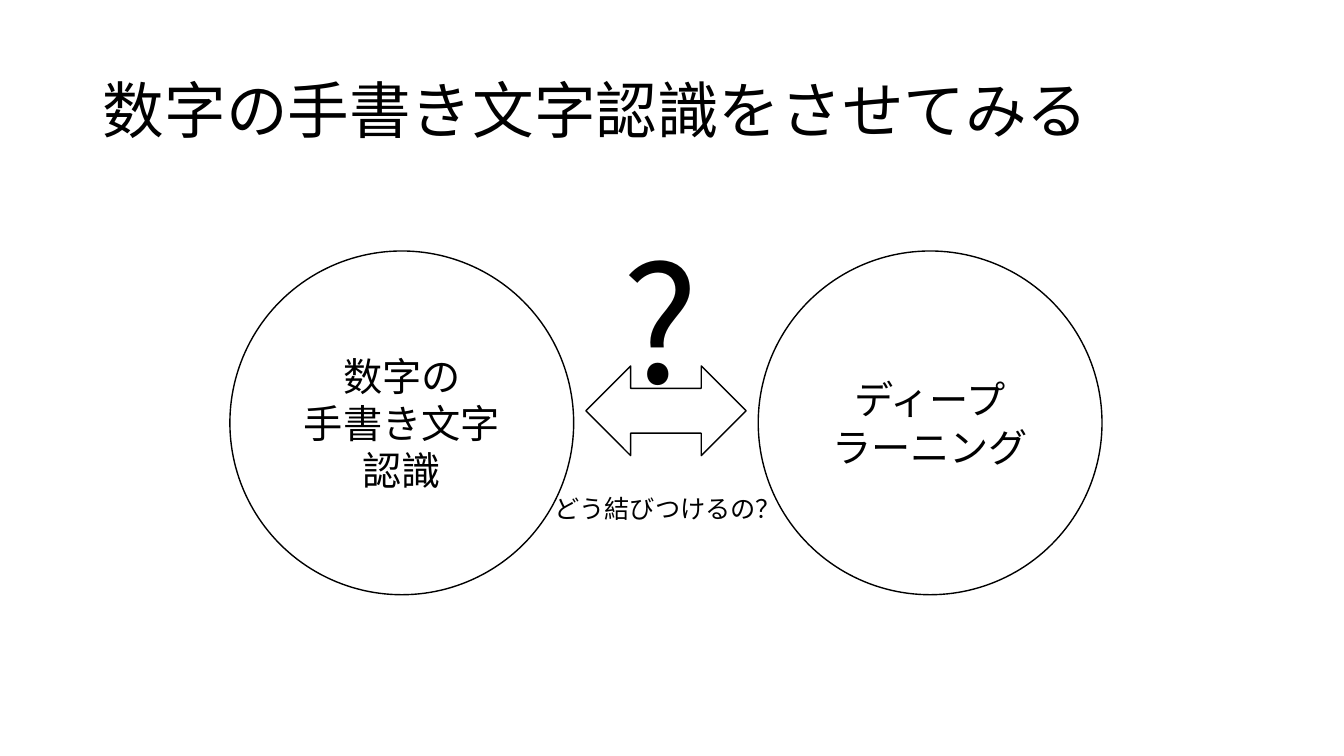
from lxml.etree import SubElement
from pptx import Presentation
from pptx.dml.color import RGBColor
from pptx.enum.shapes import MSO_SHAPE
from pptx.enum.text import MSO_ANCHOR, MSO_AUTO_SIZE, PP_ALIGN
from pptx.oxml.ns import qn
from pptx.util import Inches, Pt

FONT = "Noto Sans CJK JP"
BLACK, WHITE = "000000", "FFFFFF"
TITLE = "数字の手書き文字認識をさせてみる"
TOPICS = [["数字の", "手書き文字認識"], ["ディープラーニング"]]
LABELS = [
    ("?", 115, (6.08, 2.16, 1.04, 2.04)),
    ("どう結びつけるの？", 18, (5.4, 4.84, 2.47, 0.4)),
]
CIRCLE_LEFT, CIRCLE_TOP, CIRCLE_SIZE, CIRCLE_STEP = 2.28, 2.49, 3.41, 5.24
ARROW_BOX = (5.81, 3.63, 1.59, 0.89)


def color(value):
    return RGBColor.from_string(value)


def write(frame, lines, size, align=PP_ALIGN.LEFT, anchor=MSO_ANCHOR.TOP, wrap=True, spacing=1.0):
    frame.word_wrap = wrap
    frame.vertical_anchor = anchor
    for index, line in enumerate(lines):
        paragraph = frame.add_paragraph() if index else frame.paragraphs[0]
        paragraph.alignment = align
        paragraph.line_spacing = spacing
        run = paragraph.add_run()
        run.text = line
        run.font.size = Pt(size)
        run.font.color.rgb = color(BLACK)
        run.font.name = FONT
        SubElement(run.font._element, qn("a:ea"), typeface=FONT)


def add_outline(slide, kind, box):
    shape = slide.shapes.add_shape(kind, *map(Inches, box))
    shape.shadow.inherit = False
    shape.fill.solid()
    shape.fill.fore_color.rgb = color(WHITE)
    shape.line.color.rgb = color(BLACK)
    shape.line.width = Pt(1)
    return shape


def main():
    presentation = Presentation()
    presentation.slide_width, presentation.slide_height = Inches(13.33), Inches(7.5)
    slide = presentation.slides.add_slide(presentation.slide_layouts[5])

    title = slide.shapes.title
    title.left, title.top, title.width, title.height = map(Inches, (0.92, 0.4, 11.5, 1.45))
    write(title.text_frame, [TITLE], 44, anchor=MSO_ANCHOR.MIDDLE, spacing=0.9)

    for index, lines in enumerate(TOPICS):
        left = CIRCLE_LEFT + index * CIRCLE_STEP
        circle = add_outline(slide, MSO_SHAPE.OVAL, (left, CIRCLE_TOP, CIRCLE_SIZE, CIRCLE_SIZE))
        write(circle.text_frame, lines, 28, align=PP_ALIGN.CENTER, anchor=MSO_ANCHOR.MIDDLE)

    add_outline(slide, MSO_SHAPE.LEFT_RIGHT_ARROW, ARROW_BOX)

    for text, size, box in LABELS:
        label = slide.shapes.add_textbox(*map(Inches, box))
        write(label.text_frame, [text], size, wrap=False)
        label.text_frame.auto_size = MSO_AUTO_SIZE.SHAPE_TO_FIT_TEXT

    presentation.save("out.pptx")


if __name__ == "__main__":
    main()
